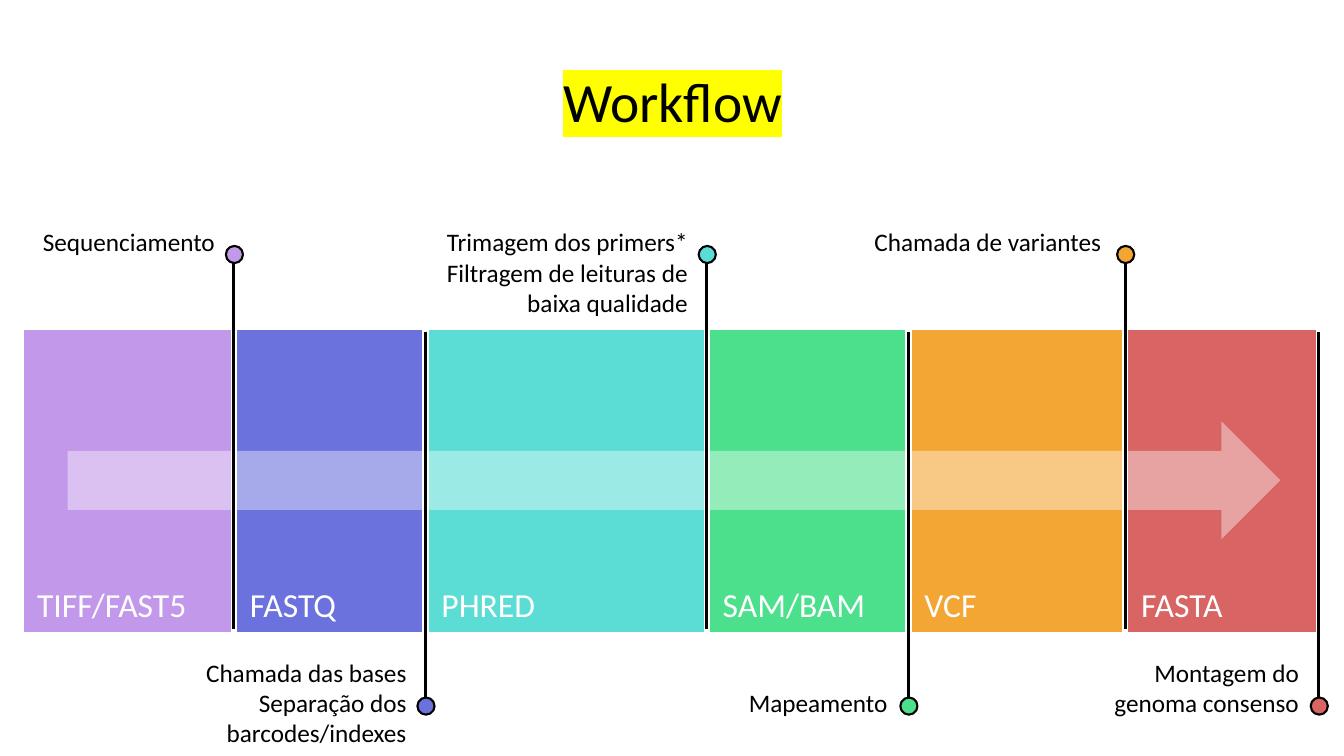
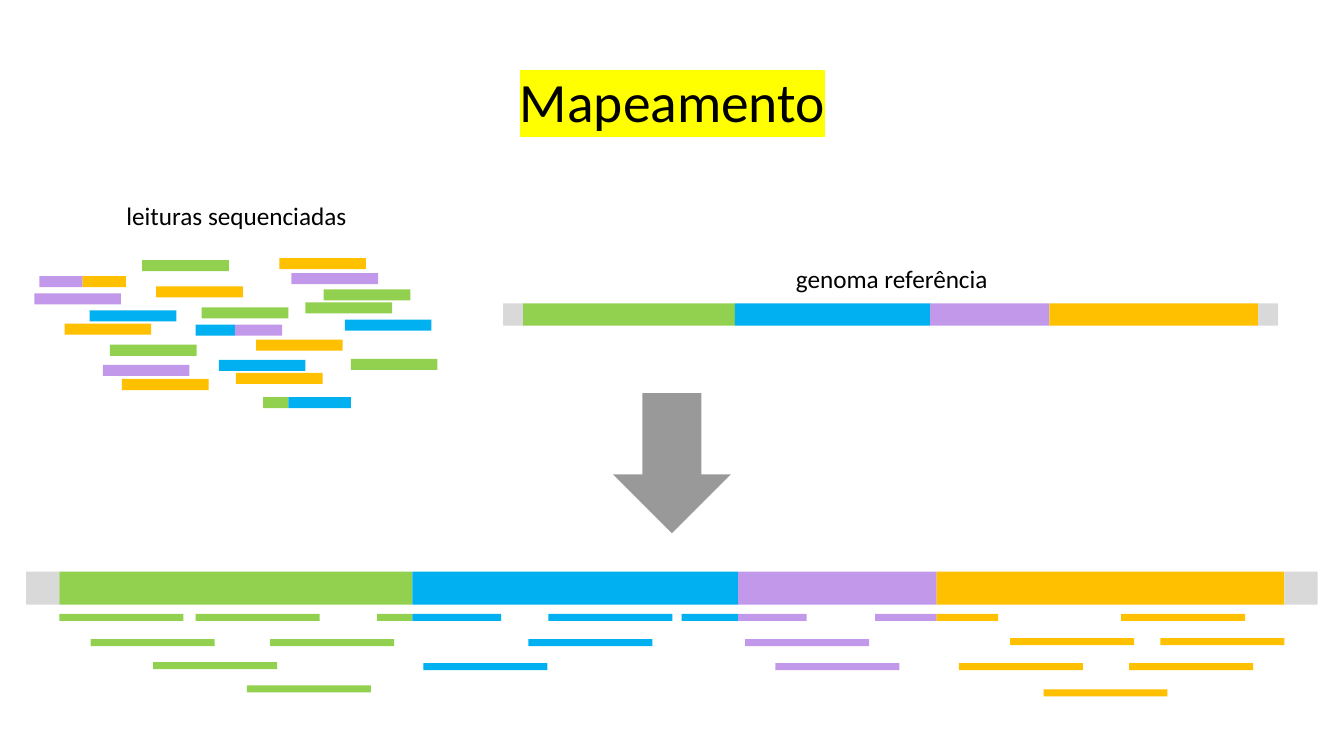
"""Build two slides on a sequencing workflow and on read mapping."""
from lxml import etree
from pptx import Presentation
from pptx.dml.color import RGBColor
from pptx.enum.shapes import MSO_CONNECTOR, MSO_SHAPE
from pptx.enum.text import MSO_ANCHOR, MSO_AUTO_SIZE, PP_ALIGN
from pptx.oxml.ns import qn
from pptx.util import Inches, Pt

RECT, OVAL = MSO_SHAPE.RECTANGLE, MSO_SHAPE.OVAL
RIGHT_ARROW, DOWN_ARROW = MSO_SHAPE.RIGHT_ARROW, MSO_SHAPE.DOWN_ARROW
STRAIGHT = MSO_CONNECTOR.STRAIGHT
LEFT, CENTER, RIGHT = PP_ALIGN.LEFT, PP_ALIGN.CENTER, PP_ALIGN.RIGHT
MIDDLE, TOP = MSO_ANCHOR.MIDDLE, MSO_ANCHOR.TOP
NONE, GROW = MSO_AUTO_SIZE.NONE, MSO_AUTO_SIZE.SHAPE_TO_FIT_TEXT
FONT = "Calibri"
BLACK, WHITE, GRAY, MARK = "000000", "FFFFFF", "D9D9D9", "FFFF00"
LILAC, GREEN, BLUE, GOLD = "C298EA", "92D050", "00B0F0", "FFC000"


def write(box, text, size=18, color=BLACK, align=LEFT, anchor=TOP,
          fit=GROW, spacing=None, mark=None):
    frame = box.text_frame
    frame.word_wrap = True
    frame.auto_size = fit
    frame.vertical_anchor = anchor
    for i, line in enumerate(text.split("\n")):
        para = frame.add_paragraph() if i else frame.paragraphs[0]
        para.alignment = align
        if spacing:
            para.line_spacing = spacing
        run = para.add_run()
        run.text = line
        run.font.name = FONT
        run.font.size = Pt(size)
        run.font.color.rgb = RGBColor.from_string(color)
        if mark:
            light = etree.Element(qn("a:highlight"))
            etree.SubElement(light, qn("a:srgbClr"), val=mark)
            run.font._element.find(qn("a:solidFill")).addnext(light)


def draw(shapes, kind, at, fill, line=None, width=0, alpha=None):
    shape = shapes.add_shape(kind, *map(Inches, at))
    shape.shadow.inherit = False
    shape.fill.solid()
    shape.fill.fore_color.rgb = RGBColor.from_string(fill)
    if alpha:
        tone = shape.fill._xPr.find(qn("a:solidFill"))[0]
        etree.SubElement(tone, qn("a:alpha"), val=str(alpha * 1000))
    if line:
        shape.line.color.rgb = RGBColor.from_string(line)
        shape.line.width = Pt(width)
    else:
        shape.line.fill.background()


deck = Presentation()
deck.slide_width, deck.slide_height = Inches(13.33), Inches(7.5)
slides = []
for name in ("Workflow", "Mapeamento"):
    slide = deck.slides.add_slide(deck.slide_layouts[5])
    title = slide.shapes.title
    title.left, title.top = Inches(0.92), Inches(0.69)
    title.width, title.height = Inches(11.5), Inches(0.69)
    write(title, name, size=39.6, align=CENTER, anchor=MIDDLE, fit=NONE,
          spacing=0.9, mark=MARK)
    slides.append(slide.shapes)
flow, reads = slides

edges = [0.21, 2.32, 4.22, 7.01, 9.01, 11.16, 13.08]
steps = [
    (LILAC, "TIFF/FAST5", "Sequenciamento", (0.21, 2.2, 2.02, 0.4)),
    ("6C72DD", "FASTQ", "Chamada das bases\nSeparação dos barcodes/indexes",
     (1.61, 6.47, 2.52, 1.01)),
    ("5BDDD6", "PHRED",
     "Trimagem dos primers*\nFiltragem de leituras de baixa qualidade",
     (3.81, 2.2, 3.11, 1.01)),
    ("4CE08C", "SAM/BAM", "Mapeamento", (6.71, 6.77, 2.19, 0.4)),
    ("F4A634", "VCF", "Chamada de variantes", (8.23, 2.2, 2.79, 0.4)),
    ("D86464", "FASTA", "Montagem do genoma consenso",
     (10.79, 6.47, 2.19, 0.71)),
]
for left, right, step in zip(edges, edges[1:], steps):
    draw(flow, RECT, (left, 3.24, right - left, 3.06), step[0], WHITE, 4.5)
draw(flow, RIGHT_ARROW, (0.67, 4.18, 12.03, 1.17), WHITE, alpha=40)

for i, (hue, label, note, at) in enumerate(steps):
    box = flow.add_textbox(*map(Inches, (edges[i] + 0.06, 5.74, 1.87, 0.5)))
    write(box, label, size=24, color=WHITE)
    write(flow.add_textbox(*map(Inches, at)), note, align=RIGHT)
    start, end, top = (3.29, 6.95, 6.92) if i % 2 else (6.24, 2.58, 2.44)
    x = edges[i + 1]
    pin = flow.add_group_shape().shapes
    stem = pin.add_connector(STRAIGHT, *map(Inches, (x, start, x, end)))
    stem.line.color.rgb = RGBColor.from_string(BLACK)
    stem.line.width = Pt(2.25)
    etree.SubElement(stem._element.spPr, qn("a:effectLst"))
    draw(pin, OVAL, (x - 0.08, top, 0.17, 0.17), hue, BLACK, 1.5)

draw(reads, DOWN_ARROW, (6.08, 3.9, 1.17, 1.39), BLACK, alpha=40)
for text, x, y in (("leituras sequenciadas", 1.1, 1.94),
                   ("genoma referência", 7.6, 2.56)):
    box = reads.add_textbox(*map(Inches, (x, y, 2.49, 0.4)))
    write(box, text, align=CENTER)

marks = [0, 0.33, 3.83, 7.06, 9.03, 12.48, 12.81]
genes = [GRAY, GREEN, BLUE, LILAC, GOLD, GRAY]
for x, y, high, scale in ((4.99, 3.01, 0.22, 0.6), (0.26, 5.67, 0.33, 1)):
    strip = reads.add_group_shape().shapes
    for start, end, hue in zip(marks, marks[1:], genes):
        at = (x + start * scale, y, (end - start) * scale, high)
        draw(strip, RECT, at, hue)

loose = {
    GREEN: [(1.41, 2.58), (3.21, 2.87), (3.03, 3), (1.09, 3.42), (2, 3.05),
            (3.48, 3.56)],
    LILAC: [(0.34, 2.91), (2.89, 2.71), (1.02, 3.62)],
    BLUE: [(3.42, 3.17), (2.17, 3.57), (0.89, 3.08)],
    GOLD: [(1.55, 2.84), (2.34, 3.7), (2.77, 2.56), (1.21, 3.76),
           (2.54, 3.37), (0.64, 3.21)],
}
loose_cut = [(2.61, 3.94, 0.25, GREEN, 0.62, BLUE),
             (0.39, 2.74, 0.43, LILAC, 0.43, GOLD),
             (1.94, 3.22, 0.39, BLUE, 0.47, LILAC)]
placed = {
    GREEN: [(0.59, 6.09), (1.52, 6.57), (0.9, 6.34), (1.94, 6.09),
            (2.45, 6.8), (2.68, 6.34)],
    LILAC: [(7.39, 6.34), (7.69, 6.58)],
    BLUE: [(4.2, 6.58), (5.44, 6.09), (5.24, 6.34)],
    GOLD: [(11.51, 6.33), (9.51, 6.58), (11.12, 6.09), (10.02, 6.33),
           (11.2, 6.58), (10.35, 6.84)],
}
placed_cut = [(3.74, 6.09, 0.35, GREEN, 0.88, BLUE),
              (6.76, 6.09, 0.56, BLUE, 0.68, LILAC),
              (8.68, 6.09, 0.61, LILAC, 0.61, GOLD)]
for whole, cut, wide, high in ((loose, loose_cut, 0.86, 0.11),
                               (placed, placed_cut, 1.23, 0.07)):
    batch = reads.add_group_shape().shapes
    for hue, spots in whole.items():
        for x, y in spots:
            draw(batch, RECT, (x, y, wide, high), hue)
    for x, y, first, hue, rest, next_hue in cut:
        draw(batch, RECT, (x, y, first, high), hue)
        draw(batch, RECT, (x + first, y, rest, high), next_hue)

deck.save("out.pptx")
